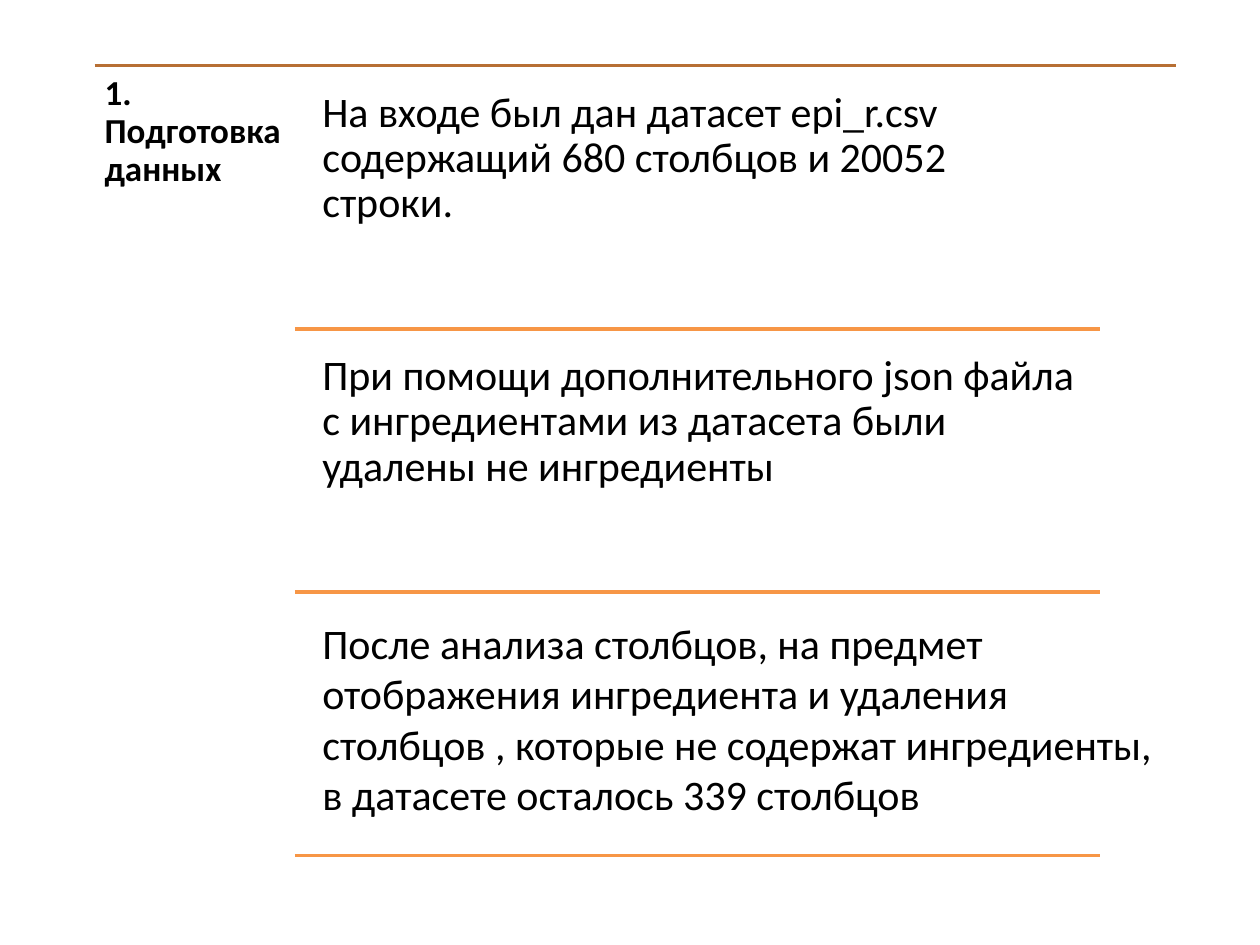
"""Build the data preparation slide: a heading beside three ruled steps."""
from pptx import Presentation, util as u
from pptx.dml.color import RGBColor
from pptx.enum import shapes, text
from pptx.oxml.ns import qn
from lxml import etree

HEADING = "1. Подготовка данных"
STEPS = [
    {"paragraphs": ["На входе был дан датасет epi_r.csv содержащий 680 столбцов и 20052 строки."],
     "width": 6.26, "spacing": 0.9},
    {"paragraphs": ["При помощи дополнительного json файла с ингредиентами из датасета "
                    "были удалены не ингредиенты"],
     "width": 6.26, "spacing": 0.9},
    {"paragraphs": ["После анализа столбцов, на предмет",
                    "отображения ингредиента и удаления столбцов , которые не содержат "
                    "ингредиенты, в датасете осталось 339 столбцов"],
     "width": 6.87, "spacing": 1.0},
]
COLORS = {"text": "000000", "top_rule": "B76F34", "step_rule": "F79646"}
LEFT, TOP, RIGHT, BOTTOM = 0.75, 0.52, 9.33, 6.9
HEADING_WIDTH = 1.6
RULE_LEFT, RULE_RIGHT, STEP_LEFT = 2.34, 8.73, 2.46
GAP, STEP_HEIGHT = 0.1, 1.99


def write(box, place, paragraphs, inset, spacing, font):
    for side, length in zip(("left", "top", "width", "height"), place):
        setattr(box, side, u.Inches(length))
    frame = box.text_frame
    frame.text = "\n".join(paragraphs)
    layout = {"word_wrap": True, "auto_size": text.MSO_AUTO_SIZE.NONE,
              "vertical_anchor": text.MSO_ANCHOR.TOP}
    layout |= {f"margin_{side}": u.Inches(inset) for side in ("left", "top", "right", "bottom")}
    for key, value in layout.items():
        setattr(frame, key, value)
    for paragraph in frame.paragraphs:
        paragraph.alignment = text.PP_ALIGN.LEFT
        paragraph.line_spacing = spacing
        for run in paragraph.runs:
            for key, value in {"name": "Calibri", **font}.items():
                setattr(run.font, key, value)
            run.font.color.rgb = RGBColor.from_string(COLORS["text"])


def rule(slide, left, right, y, color):
    line = slide.shapes.add_connector(
        shapes.MSO_CONNECTOR.STRAIGHT, *map(u.Inches, (left, y, right, y)))
    line.line.color.rgb = RGBColor.from_string(COLORS[color])
    line.line.width = u.Pt(2)
    etree.SubElement(line._element.spPr, qn("a:effectLst"))


def main():
    deck = Presentation()
    deck.slide_width, deck.slide_height = u.Inches(10), u.Inches(7.5)
    slide = deck.slides.add_slide(deck.slide_layouts[5])
    rule(slide, LEFT, RIGHT, TOP, "top_rule")
    write(slide.shapes.title, (LEFT, TOP, HEADING_WIDTH, BOTTOM - TOP), [HEADING],
          0.08, 0.9, {"size": u.Pt(20), "bold": True})
    for row, step in enumerate(STEPS):
        top = TOP + GAP + row * (STEP_HEIGHT + GAP)
        box = slide.shapes.add_textbox(0, 0, 0, 0)
        write(box, (STEP_LEFT, top, step["width"], STEP_HEIGHT), step["paragraphs"],
              0.1, step["spacing"], {"size": u.Pt(24)})
        rule(slide, RULE_LEFT, RULE_RIGHT, top + STEP_HEIGHT, "step_rule")
    deck.save("out.pptx")


if __name__ == "__main__":
    main()
